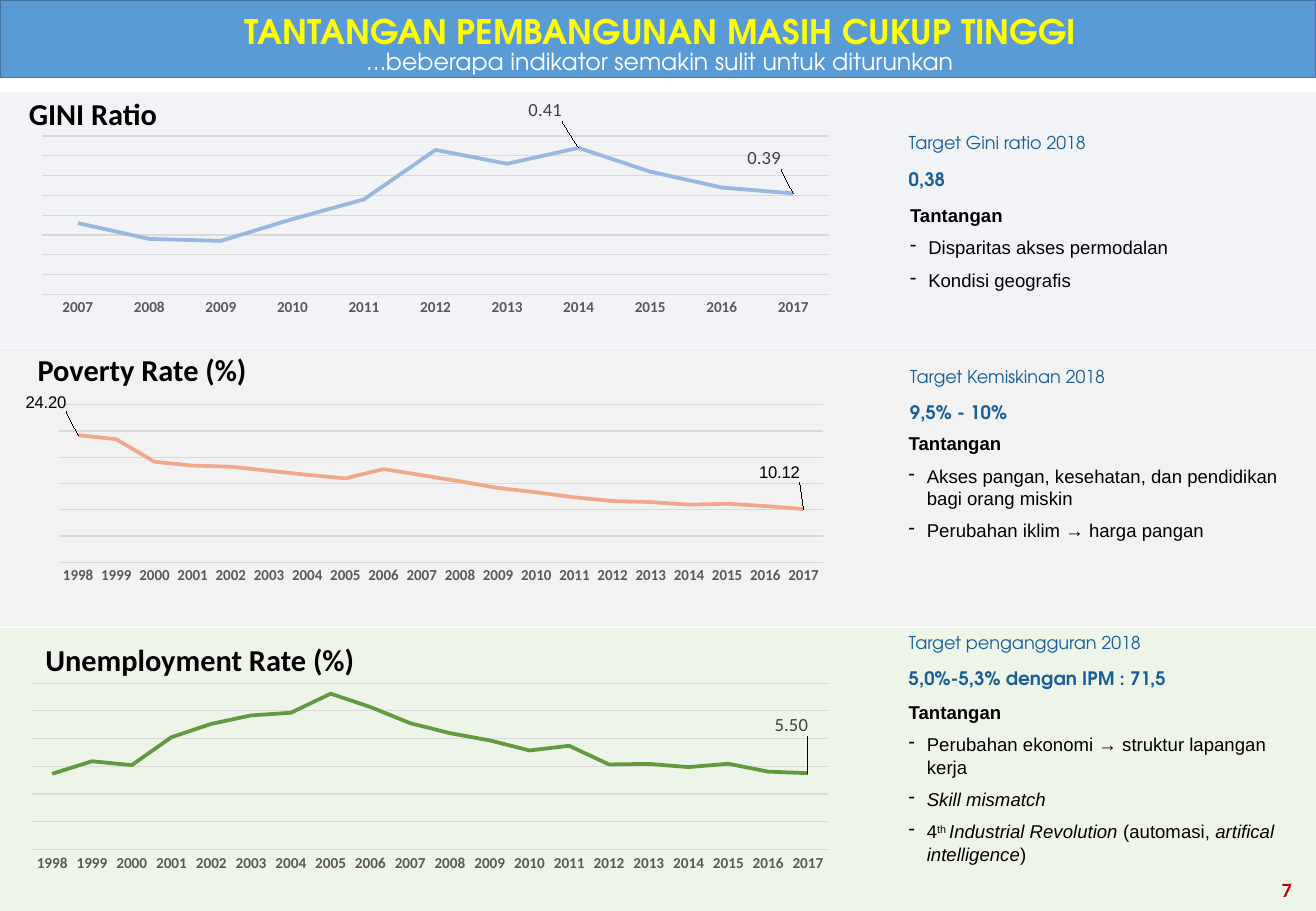
from dataclasses import dataclass

from lxml.etree import SubElement
from pptx import Presentation
from pptx.chart.data import CategoryChartData
from pptx.dml.color import RGBColor
from pptx.enum.chart import XL_CHART_TYPE, XL_LABEL_POSITION, XL_TICK_MARK
from pptx.enum.shapes import MSO_SHAPE
from pptx.enum.text import MSO_ANCHOR, PP_ALIGN
from pptx.oxml import parse_xml
from pptx.oxml.ns import nsdecls, qn
from pptx.util import Inches, Pt


@dataclass(frozen=True)
class Theme:
    """Colours, fonts and type sizes of the deck."""
    header: str = "5B9BD5"
    header_line: str = "43739E"
    title: str = "FFFF00"
    white: str = "FFFFFF"
    black: str = "000000"
    target: str = "195F96"
    page: str = "C00000"
    axis: str = "595959"
    grid: str = "D9D9D9"
    label: str = "404040"
    display: str = "TeX Gyre Adventor"
    heading: str = "Calibri"
    body: str = "Arial"
    title_size: float = 20
    heading_size: float = 18
    subtitle_size: float = 14
    page_size: float = 12
    body_size: float = 11
    target_size: float = 10.5
    label_size: float = 10
    axis_size: float = 9


@dataclass
class Label:
    """A value label with its shift as shares of the chart."""
    index: int
    shift: tuple
    font: str
    size: float
    color: str


def style_font(font, name, size, color, bold=False):
    """Apply the basic character style to a font."""
    font.name, font.size, font.bold = name, Pt(size), bold
    font.color.rgb = RGBColor.from_string(color)


def set_layout(parent, position, **values):
    """Add a manual layout to a chart element and return it."""
    layout = parent.makeelement(qn("c:layout"))
    manual = SubElement(layout, qn("c:manualLayout"))
    for name, value in values.items():
        SubElement(manual, qn(f"c:{name}")).set("val", str(value))
    parent.insert(position, layout)


class Board:
    """Draws elements on one slide, with places on a 100 by 100 grid."""

    def __init__(self, deck, theme):
        """Add a blank slide to the deck."""
        self.theme = theme
        self.column = deck.slide_width / 100
        self.row = deck.slide_height / 100
        self.page = deck.slides.add_slide(deck.slide_layouts[6])

    def place(self, left, top, width, height):
        """Turn columns and rows into slide lengths."""
        return (int(left * self.column), int(top * self.row),
                int(width * self.column), int(height * self.row))

    def band(self, place, color, opacity=None, line=None):
        """Draw a filled band across the slide."""
        shape = self.page.shapes.add_shape(MSO_SHAPE.RECTANGLE, *self.place(*place))
        shape.shadow.inherit = False
        shape.fill.solid()
        shape.fill.fore_color.rgb = RGBColor.from_string(color)
        if opacity:
            fill = shape.fill.fore_color._xFill[0]
            SubElement(fill, qn("a:alpha")).set("val", str(opacity * 1000))
        if line:
            shape.line.color.rgb = RGBColor.from_string(line)
            shape.line.width = Pt(1)
        else:
            shape.line.fill.background()

    def frame(self, place, inset=(7.2, 3.6), anchor=MSO_ANCHOR.TOP):
        """Add a wrapping text box and return its frame."""
        frame = self.page.shapes.add_textbox(*self.place(*place)).text_frame
        frame.word_wrap = True
        frame.vertical_anchor = anchor
        frame.margin_left = frame.margin_right = Pt(inset[0])
        frame.margin_top = frame.margin_bottom = Pt(inset[1])
        return frame

    def line(self, place, text, style, align=PP_ALIGN.CENTER, **options):
        """Write a single line of text in its own box."""
        para = self.frame(place, **options).paragraphs[0]
        para.text, para.alignment = text, align
        style_font(para.font, *style)

    def heading(self, place, text):
        """Write the heading of an indicator."""
        style = (self.theme.heading, self.theme.heading_size, self.theme.black, True)
        self.line(place, text, style, inset=(1.5, 1.5), anchor=MSO_ANCHOR.MIDDLE)

    def target(self, place, name, value):
        """Write the target of an indicator and its value."""
        theme = self.theme
        frame = self.frame(place)
        first, second = frame.paragraphs[0], frame.add_paragraph()
        first.text, second.text = name, value
        first.line_spacing = second.line_spacing = 0.9
        second.space_before = Pt(10)
        style_font(first.font, theme.display, theme.target_size, theme.target)
        style_font(second.font, theme.display, theme.body_size, theme.target, True)

    def challenges(self, place, items):
        """Write the bold caption and the dashed list of challenges."""
        theme = self.theme
        frame = self.frame(place)
        caption = frame.paragraphs[0]
        caption.text = "Tantangan"
        caption.space_after = Pt(6)
        style_font(caption.font, theme.body, theme.body_size, theme.black, True)
        for item in items:
            para = frame.add_paragraph()
            properties = para._p.get_or_add_pPr()
            indent = Inches(0.15)
            properties.set("marL", str(indent))
            properties.set("indent", str(-indent))
            SubElement(properties, qn("a:buChar")).set("char", "-")
            para.space_after = Pt(6)
            style_font(para.font, theme.body, theme.body_size, theme.black)
            for text, kind in item:
                span = para.add_run()
                span.text = text
                if kind == "italic":
                    span.font.italic = True
                elif kind == "raised":
                    span.font._element.set("baseline", "30000")

    def chart(self, place, plot, first_year, values, scale, color, labels):
        """Draw a yearly line chart with a few value labels."""
        theme = self.theme
        data = CategoryChartData(number_format="0.00")
        data.categories = [str(first_year + step) for step in range(len(values))]
        data.add_series("Series 1", values)
        chart = self.page.shapes.add_chart(
            XL_CHART_TYPE.LINE, *self.place(*place), data).chart
        chart.has_legend = chart.has_title = False
        style_font(chart.font, theme.heading, theme.label_size, theme.black)

        years, amounts = chart.category_axis, chart.value_axis
        years.major_tick_mark = years.minor_tick_mark = XL_TICK_MARK.NONE
        style_font(years.tick_labels.font, theme.heading, theme.axis_size, theme.axis, True)
        amounts.visible = False
        amounts.minimum_scale, amounts.maximum_scale, amounts.major_unit = scale
        amounts.has_major_gridlines = True
        for line in (years.format.line, amounts.major_gridlines.format.line):
            line.color.rgb = RGBColor.from_string(theme.grid)
            line.width = Pt(0.75)

        area = chart._chartSpace.chart.plotArea
        for old in area.findall(qn("c:layout")):
            area.remove(old)
        set_layout(area, 0, layoutTarget="inner", xMode="edge", yMode="edge",
                   **dict(zip("xywh", plot)))

        chart.plots[0].vary_by_categories = False
        series = chart.plots[0].series[0]
        series.smooth = False
        series.marker.format.fill.background()
        series.marker._element.get_or_add_marker().get_or_add_symbol().set("val", "none")
        series.format.line.color.rgb = RGBColor.from_string(color)
        series.format.line.width = Pt(2.25)
        series.data_labels.show_value = False
        for label in labels:
            mark = series.points[label.index].data_label
            style_font(mark.font, label.font, label.size, label.color)
            mark.position = XL_LABEL_POSITION.ABOVE
            element = mark._dLbl
            set_layout(element, 1, x=label.shift[0], y=label.shift[1])
        marks = series.data_labels._element
        for leader in marks.findall(qn("c:showLeaderLines")):
            marks.remove(leader)


def main():
    """Build the slide on development challenges."""
    deck = Presentation()
    deck.slide_width, deck.slide_height = Inches(10.83), Inches(7.5)
    theme = Theme()
    board = Board(deck, theme)
    soft = (theme.heading, theme.body_size, theme.label)
    plain = (theme.body, theme.label_size, theme.black)

    board.band((0, 0, 100, 8.53), theme.header, line=theme.header_line)
    board.line((0.37, 0.67, 99.63, 5.6), "TANTANGAN PEMBANGUNAN MASIH CUKUP TINGGI",
               (theme.display, theme.title_size, theme.title, True), inset=(6, 3))
    board.line((0.37, 4.53, 99.63, 4.53), "…beberapa indikator semakin sulit untuk diturunkan",
               (theme.display, theme.subtitle_size, theme.white))

    board.band((0, 10.13, 100, 28.4), "D6DCE5", 34)
    board.heading((1.48, 10.53, 11.17, 3.73), "GINI Ratio")
    board.target((68.14, 14.13, 31.58, 7.6), "Target Gini ratio 2018", "0,38")
    board.challenges((68.24, 21.73, 31.39, 10.93), [
        [("Disparitas akses permodalan", "")], [("Kondisi geografis", "")]])
    board.chart((1.48, 9.87, 63.43, 25.87), (0.027, 0.196, 0.943, 0.672), 2007,
                [0.376, 0.368, 0.367, 0.378, 0.388, 0.413, 0.406, 0.414, 0.402, 0.394, 0.391],
                (0.34, 0.42, 0.01), "98B8E0",
                [Label(7, (-0.04, -0.09), *soft), Label(10, (-0.035, -0.08), *soft)])

    board.band((0, 38.4, 100, 30.4), "DBDBDB", 34)
    board.heading((-1.2, 39.07, 24, 2.93), "Poverty Rate (%)")
    board.target((68.24, 39.73, 30.84, 7.6), "Target Kemiskinan 2018", "9,5% - 10%")
    board.challenges((68.14, 46.8, 31.49, 13.47), [
        [("Akses pangan, kesehatan, dan pendidikan bagi orang miskin", "")],
        [("Perubahan iklim → harga pangan", "")]])
    board.chart((1.94, 42.4, 62.23, 25.47), (0.027, 0.08, 0.946, 0.679), 1998,
                [24.2, 23.43, 19.14, 18.41, 18.2, 17.42, 16.66, 15.97, 17.75, 16.58,
                 15.42, 14.15, 13.33, 12.36, 11.66, 11.47, 10.96, 11.13, 10.7, 10.12],
                (0, 30, 5), "F1A78B",
                [Label(0, (-0.04, -0.08), *plain), Label(19, (-0.03, -0.095), *plain)])

    board.band((0, 68.93, 100, 31.07), "C5E0B4", 30)
    board.heading((1.2, 70.93, 27.98, 2.93), "Unemployment Rate (%)")
    board.target((68.14, 68.93, 28.35, 7.6), "Target pengangguran 2018",
                 "5,0%-5,3% dengan IPM : 71,5")
    board.challenges((68.14, 76.27, 30.93, 19.47), [
        [("Perubahan ekonomi → struktur lapangan kerja", "")],
        [("Skill mismatch", "italic")],
        [("4", ""), ("th ", "raised"), ("Industrial Revolution", "italic"),
         (" (automasi, ", ""), ("artifical intelligence", "italic"), (")", "")]])
    board.chart((1.2, 74.67, 62.97, 21.6), (0.02, 0.015, 0.96, 0.845), 1998,
                [5.46, 6.36, 6.08, 8.1, 9.06, 9.67, 9.86, 11.24, 10.28, 9.11,
                 8.39, 7.87, 7.14, 7.48, 6.13, 6.17, 5.94, 6.18, 5.61, 5.5],
                (0, 12, 2), "639A3F", [Label(19, (-0.02, -0.16), *soft)])

    board.line((92.61, 95.73, 6.46, 3.87), "7",
               (theme.heading, theme.page_size, theme.page, True),
               align=PP_ALIGN.RIGHT, anchor=MSO_ANCHOR.MIDDLE)
    deck.save("out.pptx")


if __name__ == "__main__":
    main()
